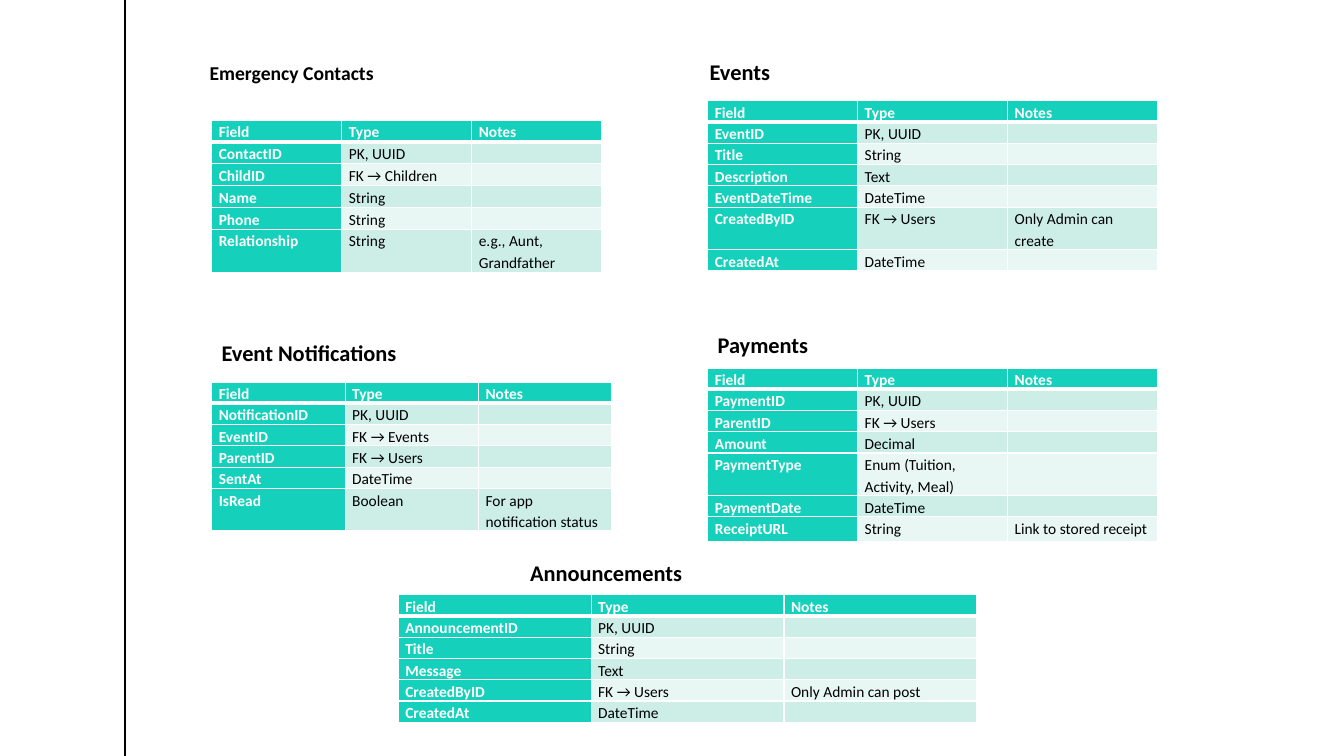
from lxml import etree
from pptx import Presentation
from pptx.dml.color import RGBColor
from pptx.enum import shapes, text
from pptx.oxml import ns
from pptx.util import Inches, Pt

TEAL = RGBColor(0x15, 0xD1, 0xBB)
MINT = RGBColor(0xCC, 0xEE, 0xE7)
PALE_MINT = RGBColor(0xE8, 0xF7, 0xF3)
BLACK = RGBColor(0, 0, 0)
WHITE = RGBColor(0xFF, 0xFF, 0xFF)
FONT = "Calibri"
LINE_HEIGHT = 0.2
HEADER = ("Field", "Type", "Notes")

# Each entity: heading (text, size, left, top), table (left, top, width), rows
ENTITIES = [
    (("Emergency Contacts", 14, 1.98, 0.52), (2.1, 1.19, 3.87), [
        ("ContactID", "PK, UUID", ""),
        ("ChildID", "FK → Children", ""),
        ("Name", "String", ""),
        ("Phone", "String", ""),
        ("Relationship", "String", "e.g., Aunt, Grandfather"),
    ]),
    (("Events", 16, 6.94, 0.51), (7.02, 1, 4.46), [
        ("EventID", "PK, UUID", ""),
        ("Title", "String", ""),
        ("Description", "Text", ""),
        ("EventDateTime", "DateTime", ""),
        ("CreatedByID", "FK → Users", "Only Admin can create"),
        ("CreatedAt", "DateTime", ""),
    ]),
    (("Event Notifications", 16, 2.1, 3.3), (2.1, 3.79, 3.97), [
        ("NotificationID", "PK, UUID", ""),
        ("EventID", "FK → Events", ""),
        ("ParentID", "FK → Users", ""),
        ("SentAt", "DateTime", ""),
        ("IsRead", "Boolean", "For app notification status"),
    ]),
    (("Payments", 16, 7.02, 3.22), (7.02, 3.65, 4.46), [
        ("PaymentID", "PK, UUID", ""),
        ("ParentID", "FK → Users", ""),
        ("Amount", "Decimal", ""),
        ("PaymentType", "Enum (Tuition, Activity, Meal)", ""),
        ("PaymentDate", "DateTime", ""),
        ("ReceiptURL", "String", "Link to stored receipt"),
    ]),
    (("Announcements", 16, 5.16, 5.48), (3.95, 5.9, 5.74), [
        ("AnnouncementID", "PK, UUID", ""),
        ("Title", "String", ""),
        ("Message", "Text", ""),
        ("CreatedByID", "FK → Users", "Only Admin can post"),
        ("CreatedAt", "DateTime", ""),
    ]),
]
ROW_HEIGHTS = {"ReceiptURL": 0.25}  # taller than one line


def set_borders(cell, bottom_width):
    properties = cell._tc.get_or_add_tcPr()
    widths = {"a:lnL": 1, "a:lnR": 1, "a:lnT": 1, "a:lnB": bottom_width}
    for index, (side, width) in enumerate(widths.items()):
        line = etree.Element(ns.qn(side), w=str(Pt(width)))
        fill = etree.SubElement(line, ns.qn("a:solidFill"))
        etree.SubElement(fill, ns.qn("a:srgbClr"), val=str(WHITE))
        properties.insert(index, line)


def format_cell(cell, content, row, column):
    label = row == 0 or column == 0
    cell.fill.solid()
    cell.fill.fore_color.rgb = TEAL if label else MINT if row % 2 else PALE_MINT
    cell.margin_left = cell.margin_right = Inches(0.07)
    cell.margin_top = cell.margin_bottom = 0
    set_borders(cell, 3 if row == 0 else 1)
    cell.text = content
    paragraph = cell.text_frame.paragraphs[0]
    paragraph.line_spacing = 1.15
    font = paragraph.font
    font.name, font.size, font.bold = FONT, Pt(11), label
    font.color.rgb = WHITE if label else BLACK
    if not content:  # an empty cell takes its line height from the end mark
        etree.SubElement(paragraph._p, ns.qn("a:endParaRPr"), sz="1100")


def add_heading(slide, content, size, left, top):
    box = slide.shapes.add_textbox(Inches(left), Inches(top), Inches(2.8), Inches(0.4))
    frame = box.text_frame
    frame.word_wrap = True
    frame.vertical_anchor = text.MSO_ANCHOR.MIDDLE
    frame.margin_top = frame.margin_bottom = 0
    paragraph = frame.paragraphs[0]
    paragraph.text = content
    font = paragraph.font
    font.name, font.size, font.bold = FONT, Pt(size), True
    font.color.rgb = BLACK


def add_entity_table(slide, left, top, width, fields):
    rows = [HEADER] + fields
    table = slide.shapes.add_table(
        len(rows), len(HEADER), Inches(left), Inches(top),
        Inches(width), Inches(LINE_HEIGHT * len(rows))).table
    for row, values in enumerate(rows):
        table.rows[row].height = Inches(ROW_HEIGHTS.get(values[0], LINE_HEIGHT))
        for column, content in enumerate(values):
            format_cell(table.cell(row, column), content, row, column)


def main():
    presentation = Presentation()
    presentation.slide_width = Inches(13.33)
    presentation.slide_height = Inches(7.5)
    slide = presentation.slides.add_slide(presentation.slide_layouts[6])

    # Vertical rule at the left
    rule = slide.shapes.add_connector(
        shapes.MSO_CONNECTOR.STRAIGHT, Inches(1.24), 0, Inches(1.24), Inches(7.5))
    rule.line.color.rgb = BLACK
    rule.line.width = Pt(1)
    etree.SubElement(rule._element.spPr, ns.qn("a:effectLst"))

    # Entity tables with their headings
    for heading, place, fields in ENTITIES:
        add_entity_table(slide, *place, fields)
        add_heading(slide, *heading)

    presentation.save("out.pptx")


if __name__ == "__main__":
    main()
